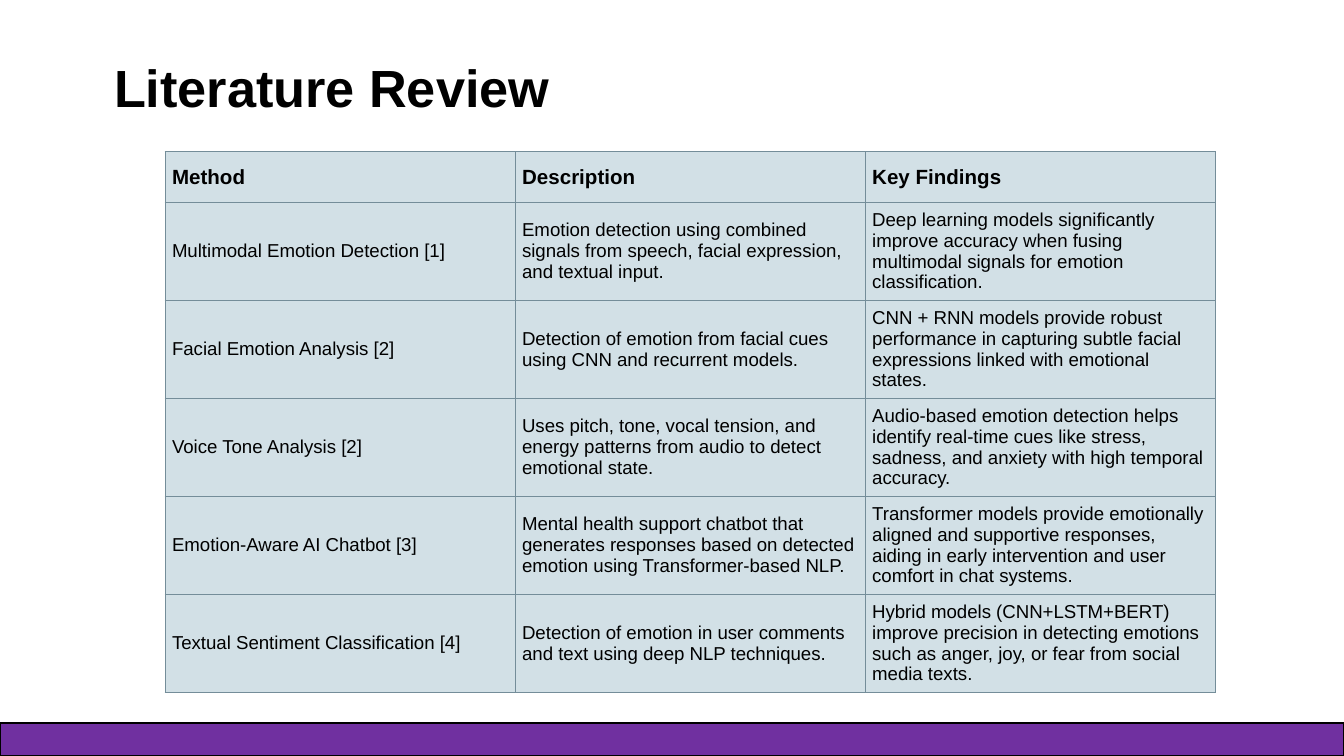
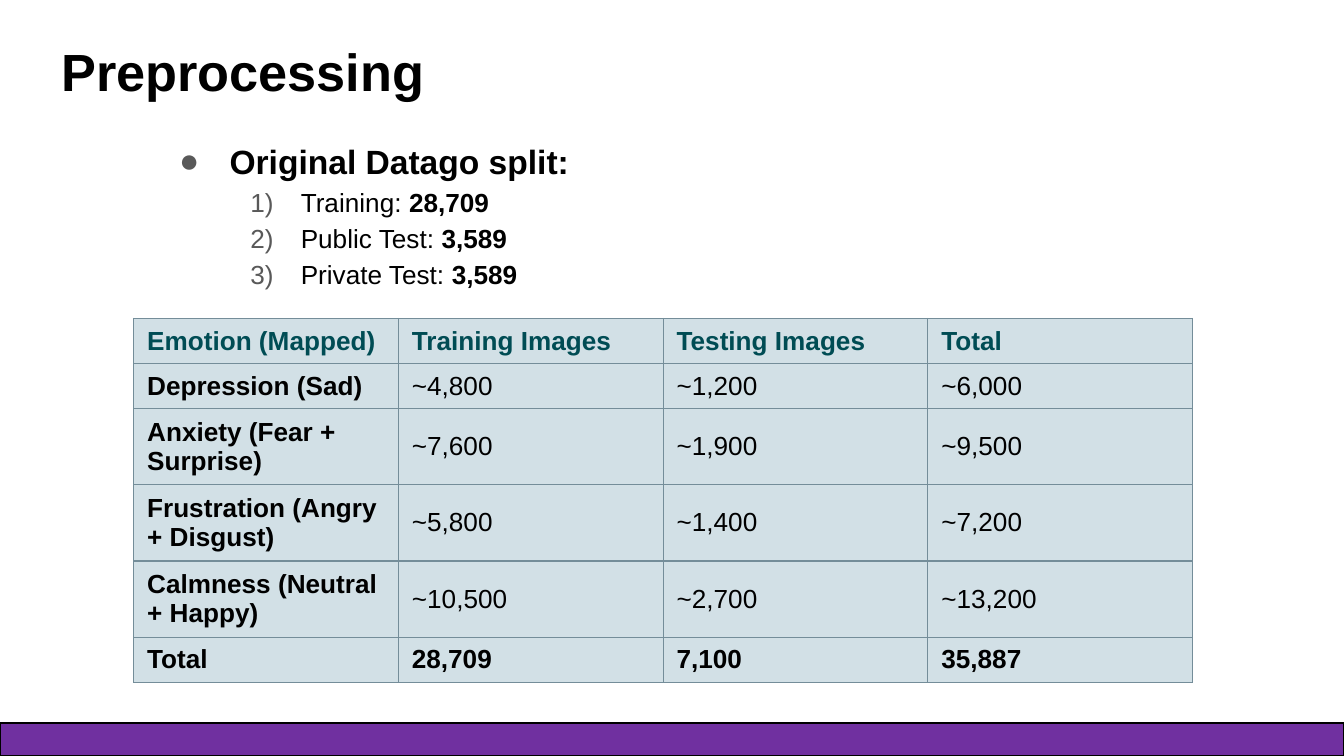
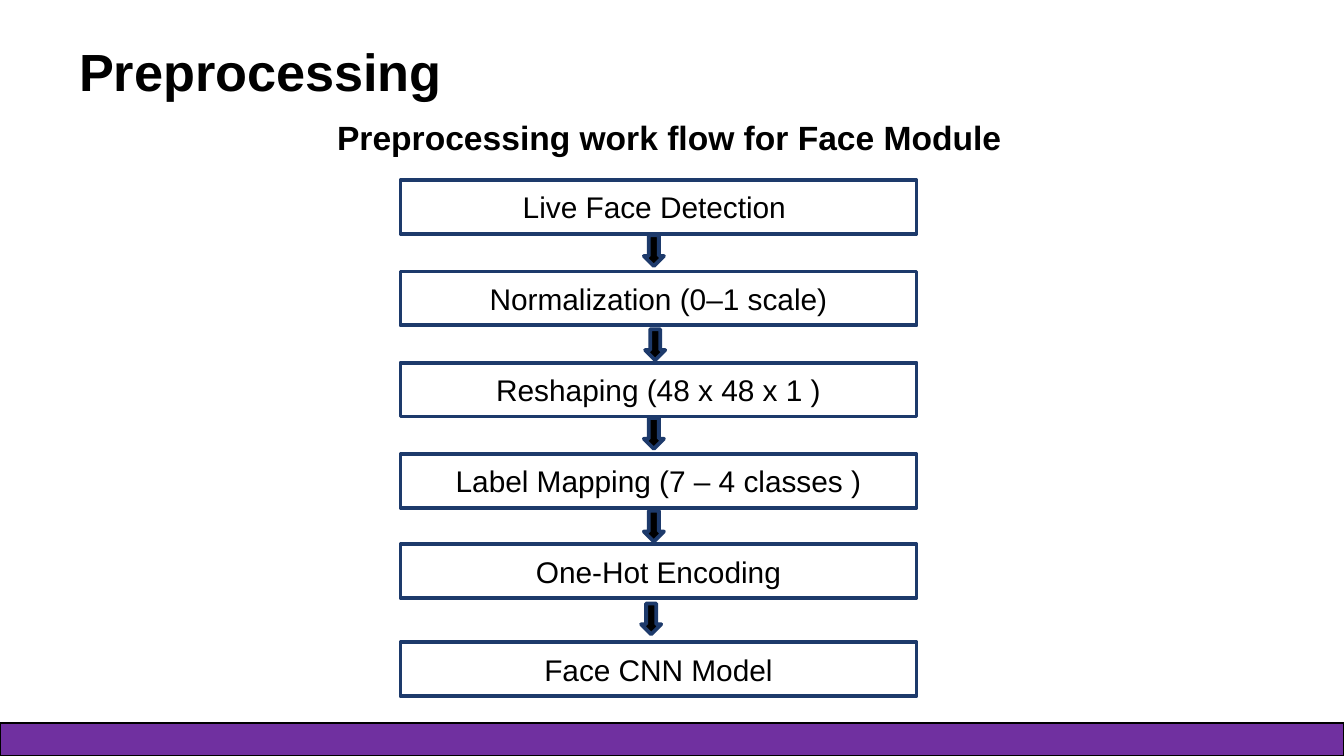
import dataclasses
import typing

import lxml.etree
import pptx
import pptx.dml.color
import pptx.enum.shapes
import pptx.enum.text
import pptx.oxml.ns
import pptx.util

EMU_PER_PX = 4572  # 200 px to the inch
FONT = "Arial"
COLORS = {
    "paper": "FFFFFF",
    "ink": "000000",
    "band": "7030A0",
    "step": "1D3A6B",
    "cell": "D2E0E6",
    "grid": "748D99",
    "heading": "004C54",
    "bullet": "595959",
}
SHAPE = pptx.enum.shapes.MSO_SHAPE
ALIGN = pptx.enum.text.PP_ALIGN
MIDDLE = pptx.enum.text.MSO_ANCHOR.MIDDLE
TOP = pptx.enum.text.MSO_ANCHOR.TOP


@dataclasses.dataclass(frozen=True)
class Area:
    left: int
    top: int
    width: int
    height: int


@dataclasses.dataclass(frozen=True)
class Span:
    text: str
    size: int
    bold: bool = False
    color: str = "ink"


@dataclasses.dataclass(frozen=True)
class Item:
    """A list line: its spans, left margin and bullet element."""
    spans: tuple[Span, ...]
    margin: int
    bullet: str
    bullet_values: dict[str, str]


@dataclasses.dataclass(frozen=True)
class Grid:
    left: int
    top: int
    column_width: int
    row_heights: tuple[int, ...]
    margin_x: int
    margin_y: int


@dataclasses.dataclass(frozen=True)
class Step:
    text: str
    top: int


REVIEW_GRID = Grid(246, 226, 521, (75, 146, 116, 146, 146, 128), 10, 6)
REVIEW_ROWS = (
    ("Method", "Description", "Key Findings"),
    ("Multimodal Emotion Detection [1]",
     "Emotion detection using combined signals from speech, facial expression, and textual input.",
     "Deep learning models significantly improve accuracy when fusing multimodal signals "
     "for emotion classification."),
    ("Facial Emotion Analysis [2]",
     "Detection of emotion from facial cues using CNN and recurrent models.",
     "CNN + RNN models provide robust performance in capturing subtle facial expressions "
     "linked with emotional states."),
    ("Voice Tone Analysis [2]",
     "Uses pitch, tone, vocal tension, and energy patterns from audio to detect emotional state.",
     "Audio-based emotion detection helps identify real-time cues like stress, sadness, "
     "and anxiety with high temporal accuracy."),
    ("Emotion-Aware AI Chatbot [3]",
     "Mental health support chatbot that generates responses based on detected emotion "
     "using Transformer-based NLP.",
     "Transformer models provide emotionally aligned and supportive responses, aiding in "
     "early intervention and user comfort in chat systems."),
    ("Textual Sentiment Classification [4]",
     "Detection of emotion in user comments and text using deep NLP techniques.",
     "Hybrid models (CNN+LSTM+BERT) improve precision in detecting emotions such as anger, "
     "joy, or fear from social media texts."),
)

SPLIT_COUNTS = (("Training: ", "28,709"), ("Public Test: ", "3,589"), ("Private Test: ", "3,589"))
IMAGE_GRID = Grid(199, 474, 394, (67, 67, 113, 113, 113, 67), 20, 10)
IMAGE_ROWS = (
    ("Emotion (Mapped)", "Training Images", "Testing Images", "Total"),
    ("Depression (Sad)", "~4,800", "~1,200", "~6,000"),
    ("Anxiety (Fear + Surprise)", "~7,600", "~1,900", "~9,500"),
    ("Frustration (Angry + Disgust)", "~5,800", "~1,400", "~7,200"),
    ("Calmness (Neutral + Happy)", "~10,500", "~2,700", "~13,200"),
    ("Total", "28,709", "7,100", "35,887"),
)

STEPS = (
    Step("Live Face Detection ", 268),
    Step("Normalization (0–1 scale)", 404),
    Step("Reshaping (48 x 48 x 1 )", 540),
    Step("Label Mapping (7 – 4 classes )", 676),
    Step("One-Hot Encoding", 810),
    Step("Face CNN Model", 956),
)
ARROW_CORNERS = ((958, 350), (960, 490), (958, 622), (958, 760), (954, 898))


def px(length: int) -> pptx.util.Emu:
    return pptx.util.Emu(length * EMU_PER_PX)


def rgb(name: str) -> pptx.dml.color.RGBColor:
    return pptx.dml.color.RGBColor.from_string(COLORS[name])


def place(area: Area) -> tuple[pptx.util.Emu, ...]:
    return tuple(px(length) for length in dataclasses.astuple(area))


def apply_format(target: typing.Any, values: dict[str, typing.Any]) -> None:
    for name, value in values.items():
        setattr(target, name, value)


def margins(horizontal: int, vertical: int) -> dict[str, pptx.util.Emu]:
    return {
        "margin_left": px(horizontal), "margin_right": px(horizontal),
        "margin_top": px(vertical), "margin_bottom": px(vertical),
    }


def add_child(parent: typing.Any, tag: str, **values: str) -> typing.Any:
    return lxml.etree.SubElement(parent, pptx.oxml.ns.qn(f"a:{tag}"), values)


def write(para: typing.Any, *spans: Span) -> None:
    for span in spans:
        run = para.add_run()
        run.text = span.text
        apply_format(run.font, {
            "name": FONT, "size": pptx.util.Pt(span.size), "bold": span.bold,
        })
        run.font.color.rgb = rgb(span.color)


def add_text_box(slide: typing.Any, area: Area, anchor: typing.Any,
                 margin_y: int = 10) -> typing.Any:
    frame = slide.shapes.add_textbox(*place(area)).text_frame
    apply_format(frame, {"word_wrap": True, "vertical_anchor": anchor, **margins(20, margin_y)})
    return frame


def add_outlined(slide: typing.Any, kind: typing.Any, area: Area,
                 fill: str, line: str, weight: float) -> typing.Any:
    shape = slide.shapes.add_shape(kind, *place(area))
    shape.shadow.inherit = False
    shape.fill.solid()
    shape.fill.fore_color.rgb = rgb(fill)
    shape.line.color.rgb = rgb(line)
    shape.line.width = pptx.util.Pt(weight)
    return shape


def add_page(deck: typing.Any, title: str, left: int, top: int) -> typing.Any:
    """Start a blank slide with the shared title style and bottom band."""
    slide = deck.slides.add_slide(deck.slide_layouts[6])
    frame = add_text_box(slide, Area(left, top, 850, 166), MIDDLE, margin_y=20)
    write(frame.paragraphs[0], Span(title, 28, True))
    add_outlined(slide, SHAPE.RECTANGLE, Area(0, 1076, 2000, 49), "band", "ink", 0.75)
    return slide


def add_borders(cell: typing.Any) -> None:
    properties = cell._tc.get_or_add_tcPr()
    for side in ("lnL", "lnR", "lnT", "lnB"):
        border = add_child(properties, side, w=str(pptx.util.Pt(0.75)))
        add_child(add_child(border, "solidFill"), "srgbClr", val=COLORS["grid"])


def add_grid(slide: typing.Any, grid: Grid, rows: tuple[tuple[str, ...], ...],
             style: typing.Callable[[str, int, int], Span]) -> None:
    """Draw a table; style turns a text, row and column into a span."""
    columns = len(rows[0])
    area = Area(grid.left, grid.top, grid.column_width * columns, sum(grid.row_heights))
    table = slide.shapes.add_table(len(rows), columns, *place(area)).table
    apply_format(table, {"first_row": False, "horz_banding": False})
    for column in table.columns:
        column.width = px(grid.column_width)
    for row, height in zip(table.rows, grid.row_heights):
        row.height = px(height)
    for row_index, texts in enumerate(rows):
        for column_index, text in enumerate(texts):
            cell = table.cell(row_index, column_index)
            apply_format(cell, {
                "vertical_anchor": MIDDLE, **margins(grid.margin_x, grid.margin_y),
            })
            add_borders(cell)
            cell.fill.solid()
            cell.fill.fore_color.rgb = rgb("cell")
            write(cell.text_frame.paragraphs[0], style(text, row_index, column_index))


def review_style(text: str, row: int, column: int) -> Span:
    return Span(text, 11, True) if row == 0 else Span(text, 10)


def image_style(text: str, row: int, column: int) -> Span:
    bold = row in (0, len(IMAGE_ROWS) - 1) or column == 0
    return Span(text, 14, bold, "heading" if row == 0 else "ink")


def add_list(frame: typing.Any, items: list[Item]) -> None:
    for index, item in enumerate(items):
        para = frame.add_paragraph() if index else frame.paragraphs[0]
        para.line_spacing = 1.15
        properties = para._p.get_or_add_pPr()
        properties.set("marL", str(px(item.margin)))
        properties.set("indent", str(px(-75)))
        add_child(add_child(properties, "buClr"), "srgbClr", val=COLORS["bullet"])
        add_child(properties, "buFont", typeface=FONT)
        add_child(properties, item.bullet, **item.bullet_values)
        write(para, *item.spans)


def build_review(deck: typing.Any) -> None:
    slide = add_page(deck, "Literature Review", 150, 46)
    add_grid(slide, REVIEW_GRID, REVIEW_ROWS, review_style)


def build_split(deck: typing.Any) -> None:
    slide = add_page(deck, "Preprocessing", 72, 22)
    heading = Item((Span("Original Datago split:", 18, True),), 100, "buChar", {"char": "●"})
    counts = [
        Item((Span(label, 14), Span(count, 14, True)), 206,
             "buAutoNum", {"type": "arabicParenR"})
        for label, count in SPLIT_COUNTS
    ]
    add_list(add_text_box(slide, Area(222, 190, 1554, 252), MIDDLE), [heading, *counts])
    add_grid(slide, IMAGE_GRID, IMAGE_ROWS, image_style)


def build_workflow(deck: typing.Any) -> None:
    slide = add_page(deck, "Preprocessing", 98, 22)
    frame = add_text_box(slide, Area(458, 164, 1114, 80), TOP)
    para = frame.paragraphs[0]
    para._p.get_or_add_pPr().set("marL", str(px(24)))
    write(para, Span("Preprocessing work flow for Face Module", 18, True))
    for step in STEPS:
        box = add_outlined(slide, SHAPE.PARALLELOGRAM, Area(596, step.top, 768, 80),
                           "paper", "step", 2)
        box.adjustments[0] = 0
        apply_format(box.text_frame, {
            "word_wrap": True, "vertical_anchor": MIDDLE, **margins(14, 8),
        })
        para = box.text_frame.paragraphs[0]
        para.alignment = ALIGN.CENTER
        write(para, Span(step.text, 16))
    for left, top in ARROW_CORNERS:
        add_outlined(slide, SHAPE.DOWN_ARROW, Area(left, top, 30, 46), "ink", "step", 2)


def main() -> None:
    deck = pptx.Presentation()
    apply_format(deck, {"slide_width": px(2000), "slide_height": px(1125)})
    for build in (build_review, build_split, build_workflow):
        build(deck)
    deck.save("out.pptx")


if __name__ == "__main__":
    main()
